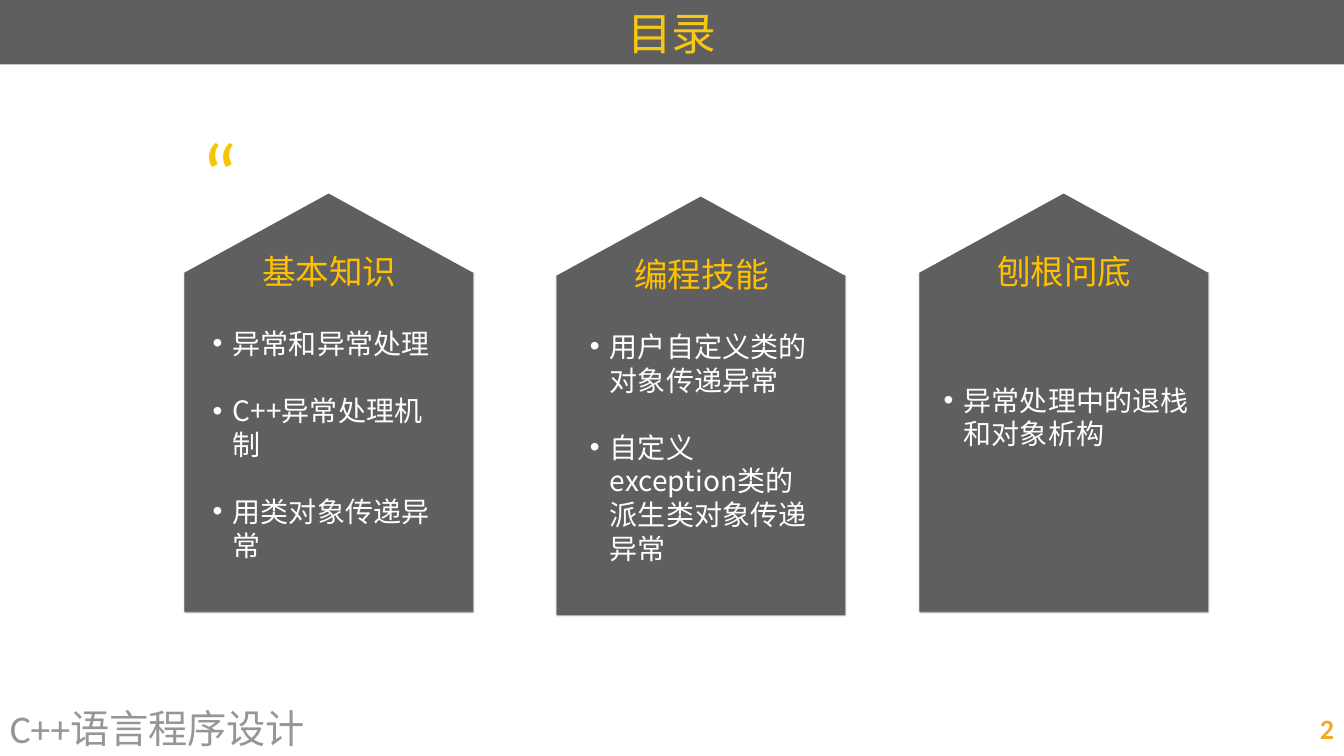
from dataclasses import dataclass

from lxml import etree
from pptx import Presentation
from pptx.dml.color import RGBColor
from pptx.enum.shapes import MSO_SHAPE
from pptx.enum.text import MSO_ANCHOR, PP_ALIGN
from pptx.oxml.ns import qn
from pptx.util import Inches, Pt

RECT = MSO_SHAPE.RECTANGLE
MIDDLE, BOTTOM = MSO_ANCHOR.MIDDLE, MSO_ANCHOR.BOTTOM
LEFT, CENTER, RIGHT = PP_ALIGN.LEFT, PP_ALIGN.CENTER, PP_ALIGN.RIGHT


@dataclass(frozen=True)
class Style:
    font: str
    size: float
    color: str
    bold: bool = False


@dataclass(frozen=True)
class Theme:
    panel: str = "5F5F5F"
    title: Style = Style("Calibri", 32, "F6C813")
    footer: Style = Style("Calibri", 28, "969696")
    number: Style = Style("Calibri", 20, "F8A720", True)
    quote: Style = Style("Calibri", 62.5, "F6C700")
    heading: Style = Style("Noto Sans CJK SC", 24, "FFC000")
    item: Style = Style("Noto Sans CJK SC", 20, "FFFFFF")
    line_pitch: float = 24
    quote_pitch: float = 40
    inset: float = 0.06
    indent: float = 0.2


THEME = Theme()

# House geometry: roof width and height, body width and height
ROOF_W, ROOF_H = 2.88, 0.79
BODY_W, BODY_H = 2.86, 3.36

# Left, top, heading, box of the items, items
HOUSES = [
    (1.82, 1.92, "基本知识", (2.05, 3.34, 2.42, 2.13),
     ["异常和异常处理", "C++异常处理机制", "用类对象传递异常"]),
    (9.11, 1.92, "刨根问底", (9.3, 3.74, 2.68, 0.79),
     ["异常处理中的退栈和对象析构"]),
    (5.51, 1.95, "编程技能", (5.79, 3.2, 2.36, 2.47),
     ["用户自定义类的对象传递异常", "自定义exception类的派生类对象传递异常"]),
]


def paint(shape, color):
    shape.shadow.inherit = False
    shape.fill.solid()
    shape.fill.fore_color.rgb = RGBColor.from_string(color)
    shape.line.fill.background()


def add_bar(slide, box):
    bar = slide.shapes.add_shape(RECT, *map(Inches, box))
    paint(bar, THEME.panel)
    return bar


def add_glow_shadow(shape):
    effects = shape._element.spPr.find(qn("a:effectLst"))
    shadow = etree.SubElement(effects, qn("a:outerShdw"), blurRad=str(Pt(1)),
                              dist="0", dir="5400000", rotWithShape="0")
    black = etree.SubElement(shadow, qn("a:srgbClr"), val="000000")
    etree.SubElement(black, qn("a:alpha"), val="50000")


def add_run(paragraph, text, style):
    run = paragraph.add_run()
    run.text = text
    run.font.name = style.font
    run.font.size = Pt(style.size)
    run.font.bold = style.bold
    run.font.color.rgb = RGBColor.from_string(style.color)
    latin = run.font._element.find(qn("a:latin"))
    latin.addnext(latin.makeelement(qn("a:ea"), {"typeface": style.font}))


def add_text_box(slide, box, anchor=MIDDLE, inset=None):
    frame = slide.shapes.add_textbox(*map(Inches, box)).text_frame
    frame.word_wrap = True
    frame.vertical_anchor = anchor
    if inset is not None:
        frame.margin_left = frame.margin_right = Inches(inset)
        frame.margin_top = frame.margin_bottom = Inches(inset)
    return frame


def fill_line(frame, text, style, align=LEFT):
    paragraph = frame.paragraphs[0]
    paragraph.alignment = align
    add_run(paragraph, text, style)
    return paragraph


def add_bullets(slide, box, items):
    frame = add_text_box(slide, box, inset=THEME.inset)
    for index, item in enumerate(items):
        paragraph = frame.add_paragraph() if index else frame.paragraphs[0]
        properties = paragraph._p.get_or_add_pPr()
        properties.set("marL", str(Inches(THEME.indent)))
        properties.set("indent", str(-Inches(THEME.indent)))
        etree.SubElement(properties, qn("a:buFont"), typeface="Arial")
        etree.SubElement(properties, qn("a:buChar"), char="•")
        paragraph.line_spacing = Pt(THEME.line_pitch)
        if index:
            paragraph.space_before = Pt(THEME.line_pitch)
        add_run(paragraph, item, THEME.item)


def add_house(slide, left, top, heading, items_box, items):
    eaves = top + ROOF_H
    body = add_bar(slide, (left + (ROOF_W - BODY_W) / 2, eaves, BODY_W, BODY_H))
    add_glow_shadow(body)

    outline = slide.shapes.build_freeform(Inches(left + ROOF_W / 2), Inches(top))
    outline.add_line_segments([(Inches(left + ROOF_W), Inches(eaves)),
                               (Inches(left), Inches(eaves))], close=True)
    paint(outline.convert_to_shape(), THEME.panel)

    add_bullets(slide, items_box, items)
    label = add_text_box(slide, (left + 0.72, top + 0.51, 1.58, 0.52),
                         inset=THEME.inset)
    fill_line(label, heading, THEME.heading)


def main():
    prs = Presentation()
    prs.slide_width, prs.slide_height = Inches(13.33), Inches(7.5)
    slide = prs.slides.add_slide(prs.slide_layouts[6])

    # Title bar
    title = add_bar(slide, (0, 0, 13.33, 0.64)).text_frame
    title.vertical_anchor = MIDDLE
    fill_line(title, "目录", THEME.title, CENTER)

    # Footer
    fill_line(add_text_box(slide, (0, 6.95, 8.78, 0.55)),
              "C++语言程序设计", THEME.footer)
    fill_line(add_text_box(slide, (9.56, 6.95, 3.77, 0.55)),
              "2", THEME.number, RIGHT)

    # Contents
    for house in HOUSES:
        add_house(slide, *house)

    # Quotation mark
    quote = add_text_box(slide, (1.94, 1.77, 0.82, 0.51), BOTTOM, THEME.inset)
    mark = fill_line(quote, "“", THEME.quote)
    mark.line_spacing = Pt(THEME.quote_pitch)

    prs.save("out.pptx")


if __name__ == "__main__":
    main()
